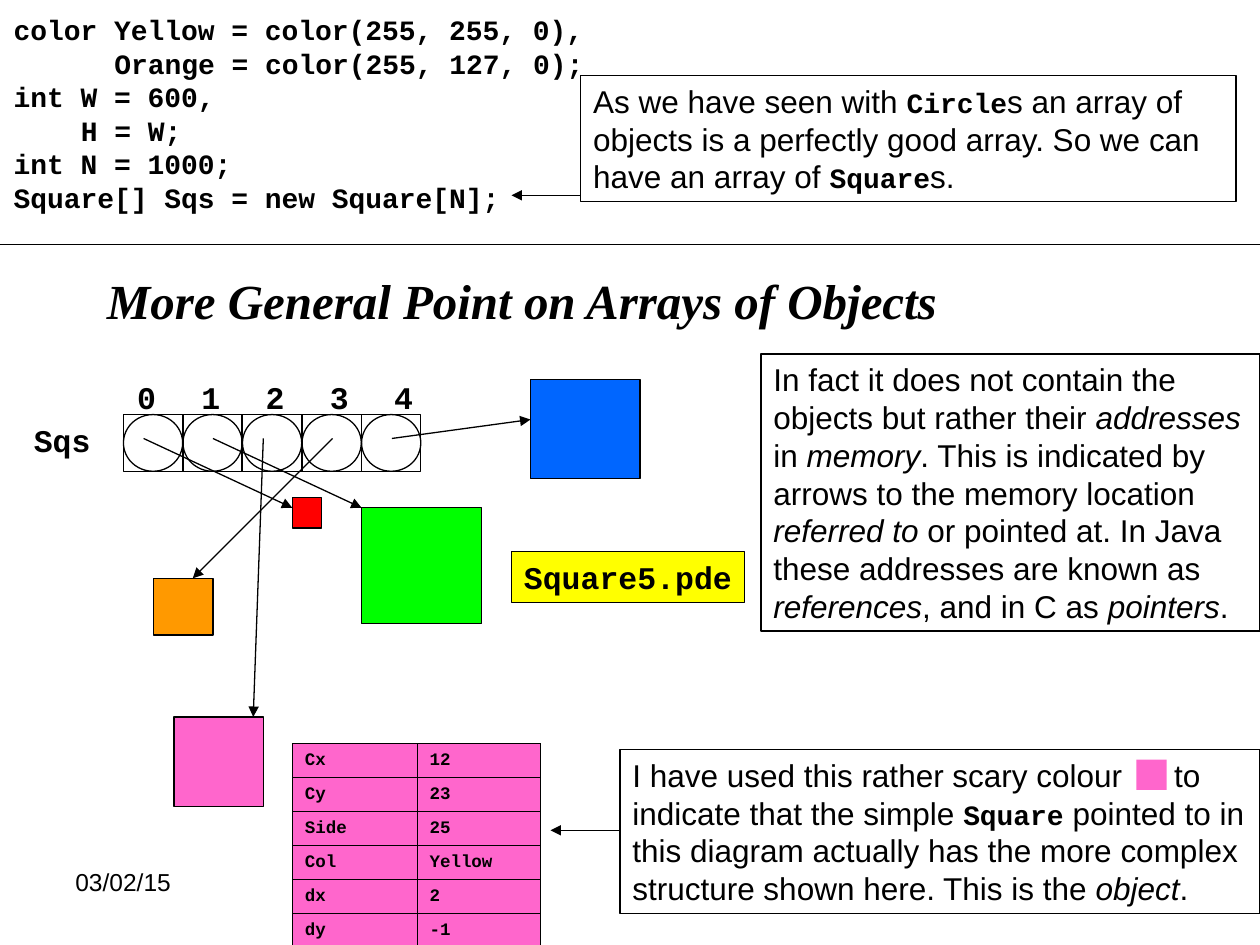
from dataclasses import dataclass

from lxml import etree
from pptx import Presentation
from pptx.dml.color import RGBColor
from pptx.enum import shapes, text
from pptx.oxml import ns
from pptx.util import Inches, Pt


@dataclass(frozen=True)
class Theme:
    black: str = "000000"
    red: str = "FF0000"
    green: str = "00FF00"
    pink: str = "FF66CC"
    orange: str = "FF9900"
    blue: str = "0066FF"
    yellow: str = "FFFF00"
    sans: str = "Arial"
    mono: str = "Courier New"
    serif: str = "Times New Roman"
    title: int = 28
    body: int = 18
    code: int = 16
    date: int = 14
    table: int = 10
    line: float = 0.75
    border: float = 0.45


THEME = Theme()
# Styles are (font, size, bold, italic)
BODY = (THEME.sans, THEME.body, False, False)
ITALIC = (THEME.sans, THEME.body, False, True)
CODE = (THEME.mono, THEME.code, True, False)
LABEL = (THEME.mono, THEME.body, True, False)
TITLE = (THEME.serif, THEME.title, True, True)
DATE = (THEME.sans, THEME.date, False, False)
FIELD = (THEME.mono, THEME.table, True, False)

CODE_CHARACTER = 0.6 * THEME.code / 72
CODE_LINES = [
    (0, "color Yellow = color(255, 255, 0),"),
    (6, "Orange = color(255, 127, 0);"),
    (0, "int W = 600,"),
    (4, "H = W;"),
    (0, "int N = 1000;"),
    (0, "Square[] Sqs = new Square[N];"),
]
FIELDS = [("Cx", "12"), ("Cy", "23"), ("Side", "25"),
          ("Col", "Yellow"), ("dx", "2"), ("dy", "-1")]
SQUARES = [
    (2.32, 3.95, 0.23, 0.24, THEME.red),
    (2.87, 4.03, 0.95, 0.92, THEME.green),
    (1.38, 5.69, 0.71, 0.71, THEME.pink),
    (1.22, 4.59, 0.47, 0.45, THEME.orange),
    (4.21, 3.01, 0.87, 0.79, THEME.blue),
]
REFERENCES = [
    ((1.14, 3.48), (2.32, 4.03)),
    ((1.69, 3.48), (2.87, 4.03)),
    ((2.09, 3.48), (2.01, 5.69)),
    ((2.64, 3.48), (1.53, 4.59)),
    ((3.11, 3.48), (4.21, 3.33)),
]


def rgb(value):
    return RGBColor.from_string(value)


def style_span(span, style):
    font = span.font
    font.name, size, font.bold, font.italic = style
    font.size = Pt(size)
    font.color.rgb = rgb(THEME.black)


def write_spans(para, spans):
    para.alignment = text.PP_ALIGN.LEFT
    for content, style in spans:
        span = para.add_run()
        span.text = content
        style_span(span, style)


def add_label(page, at, content, style, wrap=False):
    box = page.shapes.add_textbox(*map(Inches, at))
    box.text_frame.word_wrap = wrap
    write_spans(box.text_frame.paragraphs[0], [(content, style)])


def add_code(page, at, lines):
    frame = page.shapes.add_textbox(*map(Inches, at)).text_frame
    frame.word_wrap = True
    for index, (indent, content) in enumerate(lines):
        para = frame.add_paragraph() if index else frame.paragraphs[0]
        write_spans(para, [(content, CODE)])
        properties = para._p.get_or_add_pPr()
        properties.set("marL", str(Inches(indent * CODE_CHARACTER)))
        properties.set("indent", "0")


def add_block(page, at, fill=None, outlined=True, kind=shapes.MSO_SHAPE.RECTANGLE):
    block = page.shapes.add_shape(kind, *map(Inches, at))
    block.shadow.inherit = False
    if fill:
        block.fill.solid()
        block.fill.fore_color.rgb = rgb(fill)
    else:
        block.fill.background()
    if outlined:
        block.line.color.rgb = rgb(THEME.black)
        block.line.width = Pt(THEME.line)
    else:
        block.line.fill.background()
    return block


def add_note(page, at, spans, fill=None, wrap=True):
    """Add an outlined box of mixed text and return its paragraph."""
    frame = add_block(page, at, fill).text_frame
    frame.word_wrap = wrap
    frame.vertical_anchor = text.MSO_ANCHOR.TOP
    write_spans(frame.paragraphs[0], spans)
    return frame.paragraphs[0]


def set_tab_stop(para, position):
    stops = etree.SubElement(para._p.get_or_add_pPr(), ns.qn("a:tabLst"))
    etree.SubElement(stops, ns.qn("a:tab"), pos=str(Inches(position)), algn="l")


def add_line(page, start, end, arrow=True):
    line = page.shapes.add_connector(
        shapes.MSO_CONNECTOR.STRAIGHT, *map(Inches, start + end))
    line.line.color.rgb = rgb(THEME.black)
    line.line.width = Pt(THEME.line)
    if arrow:
        etree.SubElement(line.line._get_or_add_ln(), ns.qn("a:tailEnd"), type="triangle")
    etree.SubElement(line._element.spPr, ns.qn("a:effectLst"))


def border_cell(cell):
    properties = cell._tc.get_or_add_tcPr()
    for index, side in enumerate(("a:lnL", "a:lnR", "a:lnT", "a:lnB")):
        edge = etree.Element(ns.qn(side), w=str(Pt(THEME.border)))
        fill = etree.SubElement(edge, ns.qn("a:solidFill"))
        etree.SubElement(fill, ns.qn("a:srgbClr"), val=THEME.black)
        properties.insert(index, edge)


def add_fields(page, at, widths, row_height):
    table = page.shapes.add_table(len(FIELDS), len(widths), *map(Inches, at)).table
    table.first_row = table.horz_banding = False
    for column, width in zip(table.columns, widths):
        column.width = Inches(width)
    for row, values in zip(table.rows, FIELDS):
        row.height = Inches(row_height)
        for cell, value in zip(row.cells, values):
            cell.vertical_anchor = text.MSO_ANCHOR.BOTTOM
            cell.fill.solid()
            cell.fill.fore_color.rgb = rgb(THEME.pink)
            write_spans(cell.text_frame.paragraphs[0], [(value, FIELD)])
            border_cell(cell)


def add_array(page, count):
    slots = [(0.98 + 0.4725 * index, 3.29, 0.47, 0.45) for index in range(count)]
    for index, slot in enumerate(slots):
        add_block(page, slot)
        add_block(page, slot, kind=shapes.MSO_SHAPE.OVAL)
        add_label(page, (0.99 + 0.51 * index, 2.95, 0.35, 0.4), str(index), LABEL)
    add_label(page, (0.17, 3.29, 0.65, 0.4), "Sqs", LABEL)


def main():
    deck = Presentation()
    deck.slide_width, deck.slide_height = Inches(10), Inches(7.5)
    page = deck.slides.add_slide(deck.slide_layouts[6])

    add_code(page, (0.01, 0.05, 4.9, 1.7), CODE_LINES)
    add_array(page, 5)
    for *at, fill in SQUARES:
        add_block(page, at, fill)
    for start, end in REFERENCES:
        add_line(page, start, end)
    add_fields(page, (2.32, 5.9, 1.97, 1.62), (0.99, 0.98), 0.27)

    add_note(page, (4.06, 4.38, 1.85, 0.4), [("Square5.pde", LABEL)], THEME.yellow, wrap=False)
    add_note(page, (4.61, 0.6, 5.2, 1), [
        ("As we have seen with ", BODY), ("Circle", CODE),
        ("s an array of objects is a perfectly good array. So we can have an array of ", BODY),
        ("Square", CODE), ("s.", BODY)])
    add_note(page, (6.04, 2.81, 3.96, 2.2), [
        ("In fact it does not contain the objects but rather their ", BODY),
        ("addresses ", ITALIC), ("in ", BODY), ("memory", ITALIC),
        (". This is indicated by arrows to the memory location ", BODY),
        ("referred to", ITALIC),
        (" or pointed at. In Java these addresses are known as ", BODY),
        ("references", ITALIC), (", and in C as ", BODY), ("pointers", ITALIC), (".", BODY)])
    add_line(page, (4.61, 1.55), (4.06, 1.55))
    add_line(page, (0, 1.94), (10, 1.94), arrow=False)
    add_label(page, (0.75, 2.1, 6.8, 0.57), "More General Point on Arrays of Objects", TITLE)

    colour_note = add_note(page, (4.92, 5.95, 5.08, 1.3), [
        ("I have used this rather scary colour\tto indicate that the simple ", BODY),
        ("Square", CODE),
        (" pointed to in this diagram actually has the more complex structure "
         "shown here. This is the ", BODY),
        ("object", ITALIC), (".", BODY)])
    set_tab_stop(colour_note, 4.3)
    add_block(page, (9.02, 6.03, 0.24, 0.24), THEME.pink, outlined=False)
    add_line(page, (4.92, 6.59), (4.37, 6.59))
    add_label(page, (0.5, 6.83, 2.33, 0.52), "03/02/15", DATE, wrap=True)

    deck.save("out.pptx")


if __name__ == "__main__":
    main()
